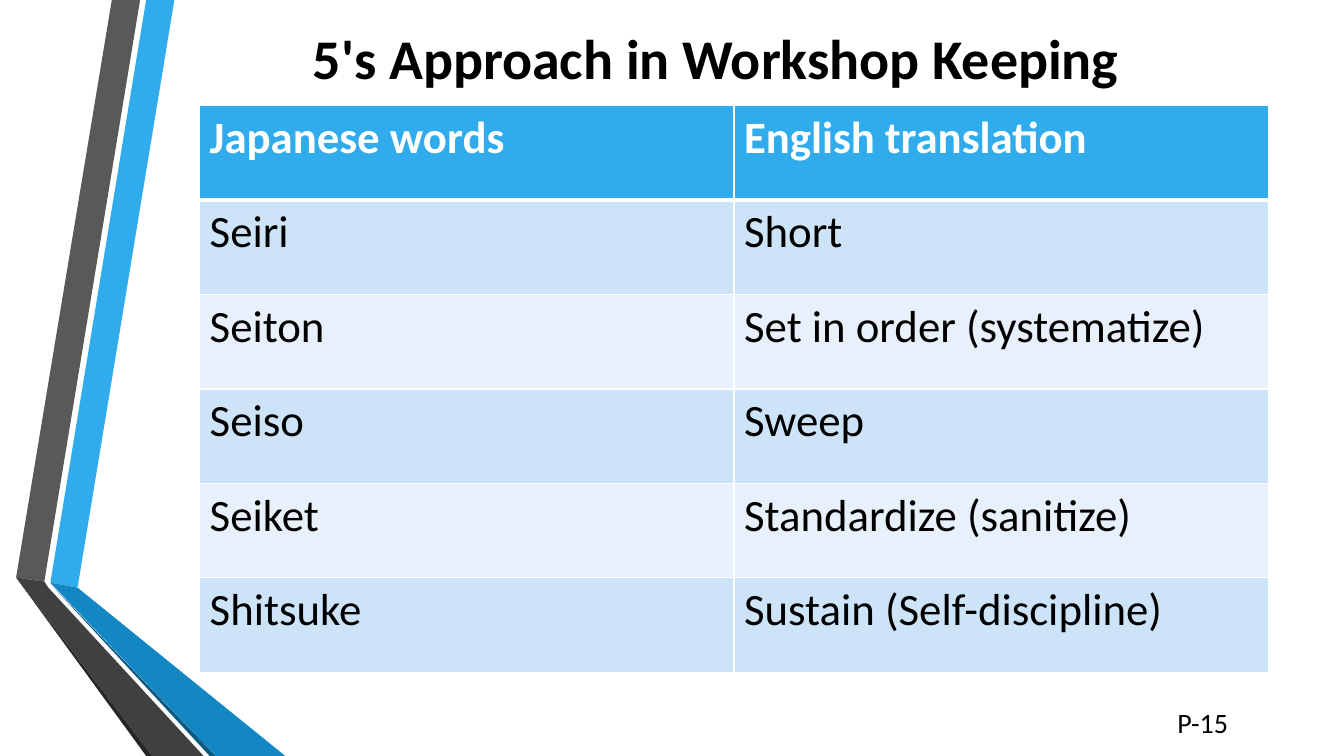
from lxml import etree
from pptx import Presentation
from pptx.dml.color import RGBColor
from pptx.enum.text import MSO_ANCHOR as Anchor, PP_ALIGN as Align
from pptx.oxml.ns import qn
from pptx.util import Inches, Pt

FONT = "Calibri"
HEADER_FILL = "30ACEC"
BAND_FILLS = ["CDE3F8", "E8F1FB"]

RIBBONS = [
    ("30ACEC", [(0.5, 5.78), (0.77, 5.83), (1.73, 0), (1.45, 0)]),
    ("595959", [(1.39, 0), (1.11, 0), (0.16, 5.73), (0.44, 5.77)]),
    ("262626", [(0.16, 5.73), (1.45, 7.5), (1.51, 7.5)]),
    ("0C5A82", [(0.5, 5.79), (2.08, 7.5), (2.14, 7.5)]),
    ("1287C3", [(0.5, 5.78), (2.14, 7.5), (2.83, 7.5), (0.77, 5.83)]),
    ("404040", [(2.02, 7.5), (0.48, 5.83), (0.44, 5.77), (0.16, 5.73), (1.51, 7.5)]),
]

WORDS = [
    ("Japanese words", "English translation"),
    ("Seiri", "Short"),
    ("Seiton", "Set in order (systematize)"),
    ("Seiso", "Sweep"),
    ("Seiket", "Standardize (sanitize)"),
    ("Shitsuke", "Sustain (Self-discipline)"),
]


def color(value):
    return RGBColor.from_string(value)


def paint(target, value):
    target.fill.solid()
    target.fill.fore_color.rgb = color(value)


def write(frame, text, size=32, ink="000000", bold=False, align=Align.LEFT):
    paragraph = frame.paragraphs[0]
    paragraph.alignment = align
    run = paragraph.add_run()
    run.text = text
    run.font.name = FONT
    run.font.size = Pt(size)
    run.font.bold = bold
    run.font.color.rgb = color(ink)


def add_text(slide, text, left, top, width, height, anchor=Anchor.TOP, **style):
    frame = slide.shapes.add_textbox(
        Inches(left), Inches(top), Inches(width), Inches(height)
    ).text_frame
    frame.word_wrap = True
    frame.vertical_anchor = anchor
    write(frame, text, **style)


def add_ribbon(slide, fill, points):
    corners = [(Inches(x), Inches(y)) for x, y in points]
    builder = slide.shapes.build_freeform(*corners[0])
    builder.add_line_segments(corners[1:], close=True)
    shape = builder.convert_to_shape()
    shape.shadow.inherit = False
    paint(shape, fill)
    shape.line.fill.background()


def set_borders(cell, top, bottom):
    properties = cell._tc.get_or_add_tcPr()
    sides = [("a:lnL", 1), ("a:lnR", 1), ("a:lnT", top), ("a:lnB", bottom)]
    for index, (tag, width) in enumerate(sides):
        line = etree.Element(qn(tag), w=str(Pt(width)))
        fill = etree.SubElement(line, qn("a:solidFill"))
        etree.SubElement(fill, qn("a:srgbClr"), val="FFFFFF")
        properties.insert(index, line)


def add_word_table(slide, rows, left, top, width, height):
    table = slide.shapes.add_table(
        len(rows), len(rows[0]), Inches(left), Inches(top), Inches(width), Inches(height)
    ).table
    for row_index, row in enumerate(rows):
        header = row_index == 0
        fill = HEADER_FILL if header else BAND_FILLS[(row_index - 1) % 2]
        for column_index, text in enumerate(row):
            cell = table.cell(row_index, column_index)
            paint(cell, fill)
            set_borders(cell, top=3 if row_index == 1 else 1, bottom=3 if header else 1)
            write(cell.text_frame, text, ink="FFFFFF" if header else "000000", bold=header)


def main():
    presentation = Presentation()
    presentation.slide_width = Inches(13.33)
    presentation.slide_height = Inches(7.5)
    slide = presentation.slides.add_slide(presentation.slide_layouts[6])
    for fill, points in RIBBONS:
        add_ribbon(slide, fill, points)
    add_text(slide, "5's Approach in Workshop Keeping", 1.62, 0.09, 10.96, 0.96,
             anchor=Anchor.MIDDLE, size=40, bold=True, align=Align.CENTER)
    add_word_table(slide, WORDS, 1.98, 1.05, 10.6, 5.62)
    add_text(slide, "P-15", 11.58, 6.95, 1.75, 0.44, size=20)
    presentation.save("out.pptx")


if __name__ == "__main__":
    main()
